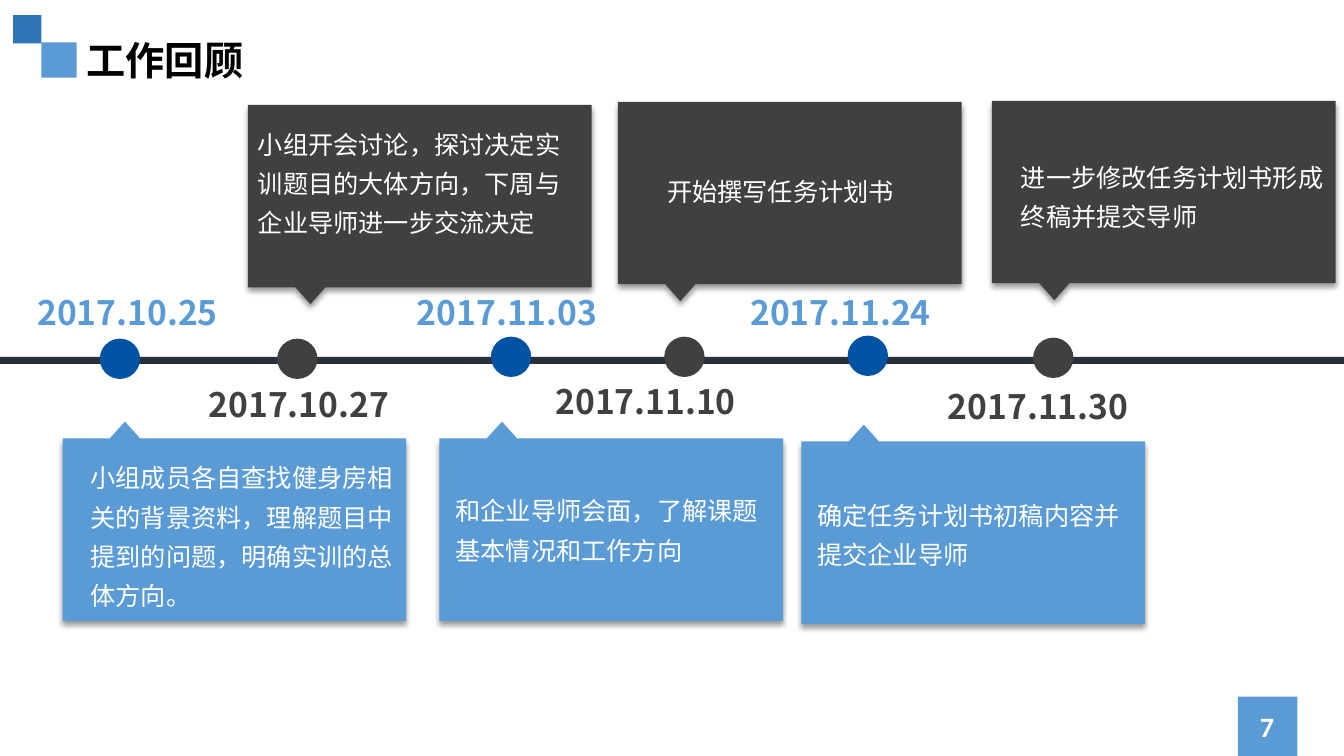
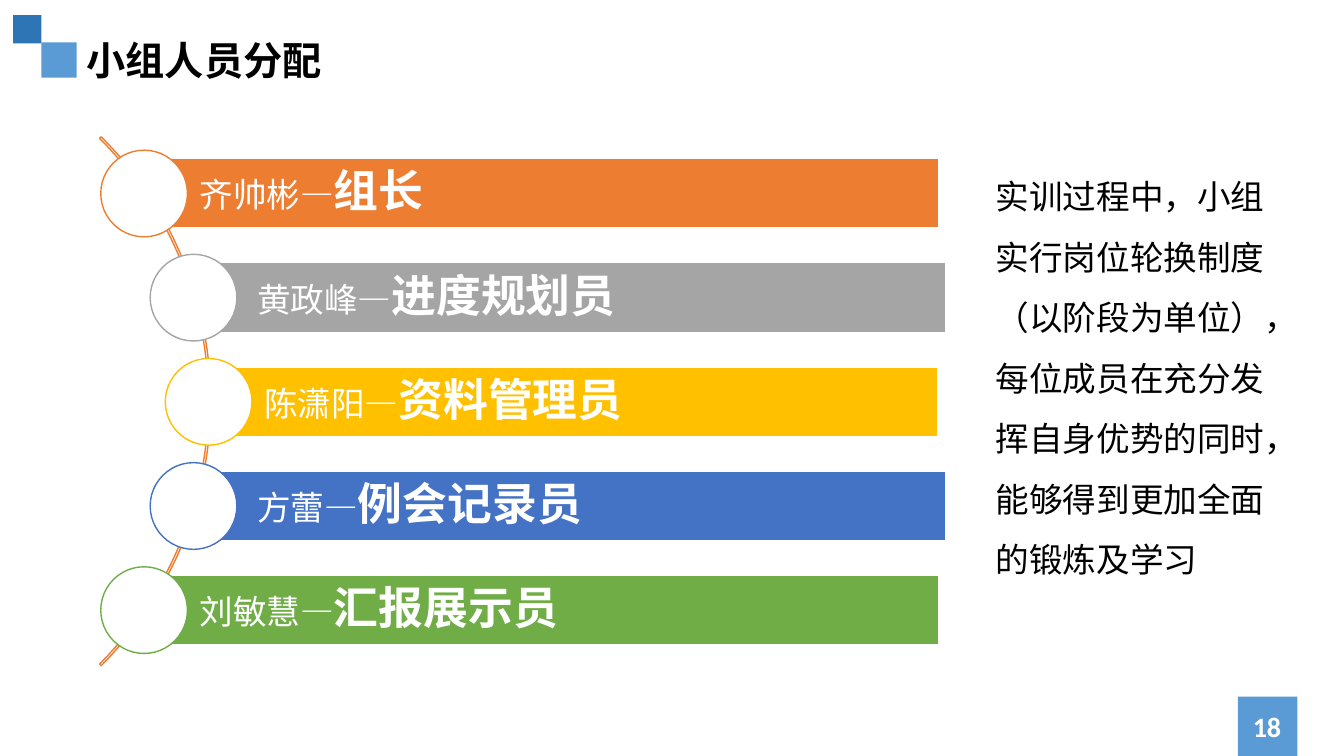
from dataclasses import dataclass

from lxml.etree import SubElement
from pptx import Presentation
from pptx.dml.color import RGBColor
from pptx.enum.shapes import MSO_SHAPE
from pptx.enum.text import MSO_ANCHOR, MSO_AUTO_SIZE, PP_ALIGN
from pptx.oxml.ns import qn
from pptx.util import Inches, Pt


@dataclass(frozen=True)
class Theme:
    """Colours, fonts and type sizes of the deck."""
    sky: str = "5B9BD5"
    steel: str = "2E75B6"
    navy: str = "0053A3"
    dark: str = "404040"
    rail: str = "29303A"
    white: str = "FFFFFF"
    black: str = "000000"
    orange: str = "ED7D31"
    gray: str = "A5A5A5"
    gold: str = "FFC000"
    blue: str = "4472C4"
    green: str = "70AD47"
    hans: str = "Noto Sans CJK SC"
    latin: str = "Calibri"
    head: int = 28
    role: int = 32
    body: int = 24
    page: int = 20
    small: int = 18


T = Theme()
COLS, ROWS = 40, 22.5  # the slide as a grid of square cells
CELL = Inches(1 / 3)

# Callouts, in cells: body size, pointer offset, half width and depth
WIDE, HIGH = 10.23, 5.43
TIP, HALF, DEEP = 1.86, 0.45, 0.5

# date, date x, date y, dot x, dot y, callout x, callout y,
# text x, text y, lines, text
STEPS = [
    ("2017.10.25", 0.72, 8.55, 2.97, 10.08, 1.86, 13.05, 2.4, 13.35, 4,
     "小组成员各自查找健身房相关的背景资料，理解题目中提到的问题，明确实训的总体方向。"),
    ("2017.10.27", 5.82, 11.28, 8.25, 10.08, 7.38, 3.12, 7.38, 3.42, 3,
     "小组开会讨论，探讨决定实训题目的大体方向，下周与企业导师进一步交流决定"),
    ("2017.11.03", 12.02, 8.55, 14.61, 10.02, 13.08, 13.05, 13.26, 14.34, 2,
     "和企业导师会面，了解课题基本情况和工作方向"),
    ("2017.11.10", 16.14, 11.19, 19.77, 10.02, 18.39, 3.03, 19.56, 4.83, 1,
     "开始撰写任务计划书"),
    ("2017.11.24", 21.94, 8.55, 25.23, 9.99, 23.85, 13.14, 24.03, 14.46, 2,
     "确定任务计划书初稿内容并提交企业导师"),
    ("2017.11.30", 27.82, 11.34, 30.75, 10.05, 29.52, 3, 30.09, 4.41, 2,
     "进一步修改任务计划书形成终稿并提交导师"),
]

# name, role, colour, bar x, bar width, circle x
TEAM = [
    ("齐帅彬—", "组长", T.orange, 4.29, 23.64, 3),
    ("黄政峰—", "进度规划员", T.gray, 6, 22.14, 4.47),
    ("陈潇阳—", "资料管理员", T.gold, 6.21, 21.69, 4.92),
    ("方蕾—", "例会记录员", T.blue, 6, 22.14, 4.47),
    ("刘敏慧—", "汇报展示员", T.green, 4.29, 23.64, 3),
]

NOTE = ("实训过程中，小组实行岗位轮换制度（以阶段为单位），"
        "每位成员在充分发挥自身优势的同时，能够得到更加全面的锻炼及学习")


def cells(*nums):
    """Turn grid cells into slide lengths."""
    return [round(n * CELL) for n in nums]


def paint(shape, fill=None, line=None):
    """Set fill and line, and drop the shadow."""
    shape.shadow.inherit = False
    if fill:
        shape.fill.solid()
        shape.fill.fore_color.rgb = RGBColor.from_string(fill)
    else:
        shape.fill.background()
    if line:
        shape.line.color.rgb = RGBColor.from_string(line)
        shape.line.width = Pt(1)
    else:
        shape.line.fill.background()
    return shape


def block(shapes, box, fill=None, line=None, kind=MSO_SHAPE.RECTANGLE):
    """Add a preset shape on the grid."""
    return paint(shapes.add_shape(kind, *cells(*box)), fill, line)


def style(para, size, tint, bold=False, face=T.hans, align=PP_ALIGN.LEFT,
          lead=None):
    """Format a whole paragraph."""
    font = para.font
    font.size, font.bold, font.name = Pt(size), bold, face
    font.color.rgb = RGBColor.from_string(tint)
    props = para._p.pPr.find(qn("a:defRPr"))
    SubElement(props, qn("a:ea")).set("typeface", T.hans)
    para.alignment = align
    if lead:
        para.line_spacing = lead


def label(shapes, box, text, size, tint, wrap=True, mid=False, **look):
    """Add a text box with one paragraph."""
    frame = shapes.add_textbox(*cells(*box)).text_frame
    frame.word_wrap = wrap
    if mid:
        frame.vertical_anchor = MSO_ANCHOR.MIDDLE
    else:
        frame.auto_size = MSO_AUTO_SIZE.SHAPE_TO_FIT_TEXT
    frame.text = text
    style(frame.paragraphs[0], size, tint, **look)


def shade(shape):
    """Give a shape a soft shadow below it."""
    drop = SubElement(shape._element.spPr.find(qn("a:effectLst")),
                      qn("a:outerShdw"), blurRad=str(Pt(4)),
                      dist=str(Pt(3)), dir="5400000", algn="t",
                      rotWithShape="0")
    tint = SubElement(drop, qn("a:srgbClr"), val=T.black)
    SubElement(tint, qn("a:alpha"), val="40000")


def bubble(shapes, x, y, fill, low):
    """Draw a callout that points up if low, else down."""
    near, far = (y, y + HIGH) if low else (y + HIGH, y)
    peak = near - DEEP if low else near + DEEP
    mid, end = x + TIP, x + WIDE
    spots = [(mid + HALF, near), (end, near), (end, far),
             (x, far), (x, near), (mid - HALF, near)]
    pen = shapes.build_freeform(*cells(mid, peak))
    pen.add_line_segments([cells(*spot) for spot in spots])
    shade(paint(pen.convert_to_shape(), fill))


def brand(slide, layout):
    """Move the corner squares and the page block into the layout."""
    tree = layout.shapes.element
    for box, fill in [((1.23, 1.26, 1.05, 1.05), T.sky),
                      ((0.39, 0.45, 0.84, 0.84), T.steel),
                      ((36.84, 20.73, 1.77, 1.77), T.sky)]:
        tree.append(block(slide.shapes, box, fill)._element)


def start(deck, layout, title, page):
    """Add a slide with its title and page number."""
    slide = deck.slides.add_slide(layout)
    head = slide.shapes.title
    head.left, head.top, head.width, head.height = cells(
        2.28, 0.93, 35.43, 1.71)
    frame = head.text_frame
    frame.text = title
    frame.word_wrap = True
    frame.vertical_anchor = MSO_ANCHOR.TOP
    frame.auto_size = MSO_AUTO_SIZE.SHAPE_TO_FIT_TEXT
    style(frame.paragraphs[0], T.head, T.black, bold=True)
    label(slide.shapes, (35.43, 21.03, 4.56, 1.2), page, T.page, T.white,
          mid=True, bold=True, face=T.latin, align=PP_ALIGN.CENTER)
    return slide


def review(slide):
    """Draw the timeline with callouts on alternate sides."""
    shapes = slide.shapes
    block(shapes, (0, 10.62, COLS, 0.21), T.rail)
    for i, (date, dx, dy, ox, oy, x, y, tx, ty, rows, text) in enumerate(STEPS):
        low = i % 2 == 0
        fill = T.sky if low else T.dark
        block(shapes, (ox, oy, 1.2, 1.2), T.navy if low else T.dark,
              kind=MSO_SHAPE.OVAL)
        label(shapes, (dx, dy, 6.15, 1.5), date, T.body, fill, wrap=False,
              bold=True, align=PP_ALIGN.CENTER)
        group = shapes.add_group_shape().shapes
        bubble(group, x, y, fill, low)
        label(group, (tx, ty, 9.87, 0.3 + 1.18 * rows), text, T.small,
              T.white, lead=1.3)


def member(shapes, y, name, role, fill, x, wide, ox):
    """Draw one team bar with its circle."""
    bar = block(shapes, (x, y + 0.25, wide, 2.07), fill, T.white)
    frame = bar.text_frame
    frame.word_wrap = True
    frame.vertical_anchor = MSO_ANCHOR.MIDDLE
    (frame.margin_left, frame.margin_top, frame.margin_right,
     frame.margin_bottom) = cells(1.65, 0.21, 0.21, 0.21)
    para = frame.paragraphs[0]
    para.add_run().text = name
    duty = para.add_run()
    duty.text = role
    duty.font.size, duty.font.bold = Pt(T.role), True
    style(para, T.body, T.white, face=T.latin, lead=0.9)
    block(shapes, (ox, y, 2.58, 2.58), T.white, fill, MSO_SHAPE.OVAL)


def team(slide):
    """Draw the team list along an arc, and the note beside it."""
    label(slide.shapes, (29.34, 4.5, 9.15, 13.02), NOTE, T.body, T.black,
          face=T.latin, lead=1.5)
    group = slide.shapes.add_group_shape().shapes
    arc = block(group, (-15.99, 0.81, 22.26, 22.26), line=T.orange,
                kind=MSO_SHAPE.BLOCK_ARC)
    for i, turn in enumerate((189, 27, 0.003)):
        arc.adjustments[i] = turn
    for i, row in enumerate(TEAM):
        member(group, 4.47 + 3.1 * i, *row)


def main():
    """Build and save the deck."""
    deck = Presentation()
    deck.slide_width, deck.slide_height = cells(COLS, ROWS)
    layout = deck.slide_layouts.get_by_name("Title Only")
    first = start(deck, layout, "工作回顾", "7")
    brand(first, layout)
    review(first)
    team(start(deck, layout, "小组人员分配", "18"))
    deck.save("out.pptx")


main()
